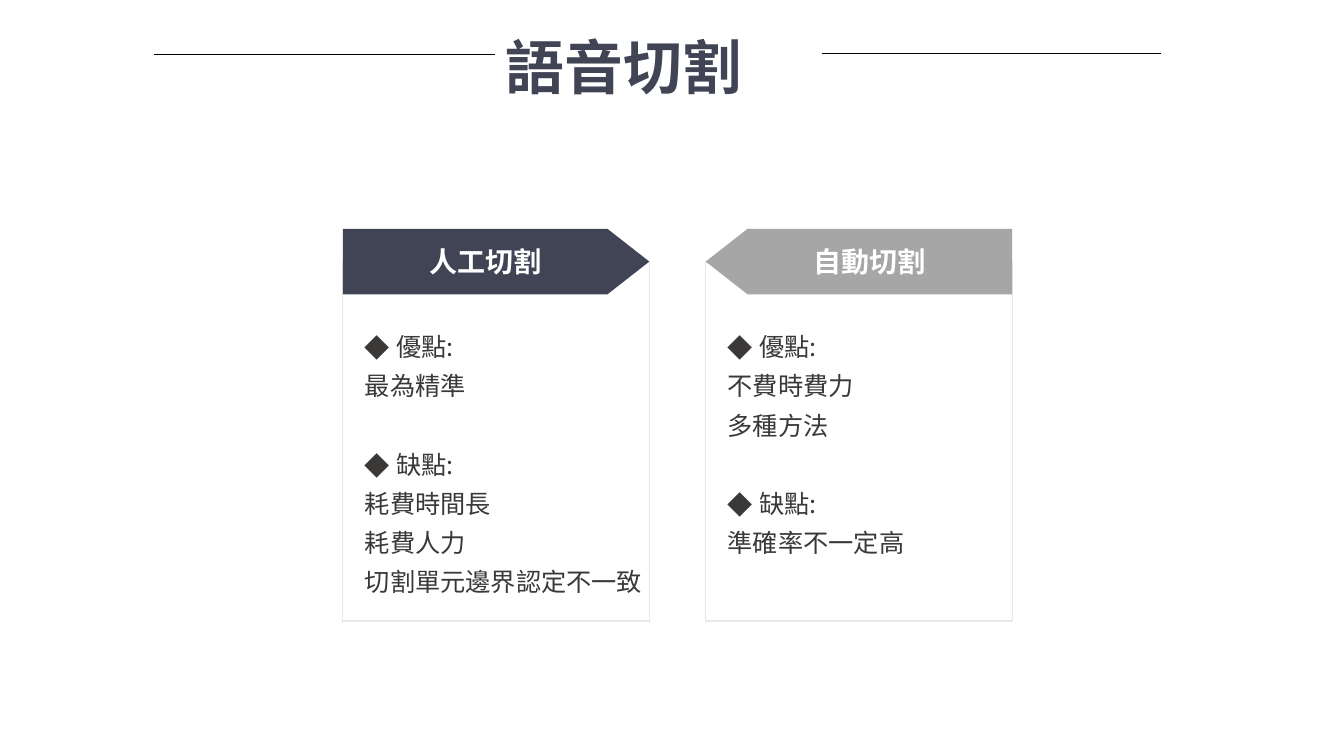
from lxml import etree
from pptx import Presentation
from pptx.dml.color import RGBColor
from pptx.enum.shapes import MSO_CONNECTOR, MSO_SHAPE
from pptx.enum.text import MSO_ANCHOR, PP_ALIGN
from pptx.oxml.ns import qn
from pptx.util import Inches, Pt

RECTANGLE = MSO_SHAPE.RECTANGLE
PENTAGON = MSO_SHAPE.PENTAGON
STRAIGHT = MSO_CONNECTOR.STRAIGHT
MIDDLE = MSO_ANCHOR.MIDDLE
CENTER = PP_ALIGN.CENTER
JUSTIFY = PP_ALIGN.JUSTIFY

FONT = "Noto Sans CJK SC"
NAVY, GREY, INK = "414455", "A6A6A6", "3B3838"
WHITE, BLACK, BORDER = "FFFFFF", "000000", "E8E8E6"
CARD_WIDTH = 3.04
BODY_LINE = 28

CARDS = [
    (3.4, "人工切割", NAVY, False, [
        ("優點:", ["最為精準"]),
        ("缺點:", ["耗費時間長", "耗費人力", "切割單元邊界認定不一致"]),
    ]),
    (7.0, "自動切割", GREY, True, [
        ("優點:", ["不費時費力", "多種方法"]),
        ("缺點:", ["準確率不一定高"]),
    ]),
]


def color(value):
    return RGBColor.from_string(value)


def add_span(para, text, size, ink, bold=False):
    span = para.add_run()
    span.text = text
    font = span.font
    font.name, font.size, font.bold = FONT, Pt(size), bold
    font.color.rgb = color(ink)
    east_asian = etree.Element(qn("a:ea"), typeface=FONT)
    span._r.get_or_add_rPr().find(qn("a:latin")).addnext(east_asian)


def add_bullet(para):
    """Give the paragraph a diamond with a hanging indent."""
    properties = para._p.get_or_add_pPr()
    properties.set("marL", str(Inches(0.31)))
    properties.set("indent", str(Inches(-0.31)))
    etree.SubElement(properties, qn("a:buFont"), typeface=FONT)
    etree.SubElement(properties, qn("a:buChar"), char="◆")


def add_text_box(page, left, top, width, height):
    box = page.shapes.add_textbox(
        Inches(left), Inches(top), Inches(width), Inches(height))
    box.text_frame.word_wrap = True
    return box.text_frame


def add_filled_shape(page, kind, left, top, height, fill, border=None):
    box = page.shapes.add_shape(
        kind, Inches(left), Inches(top), Inches(CARD_WIDTH), Inches(height))
    box.shadow.inherit = False
    box.fill.solid()
    box.fill.fore_color.rgb = color(fill)
    if border:
        box.line.color.rgb = color(border)
        box.line.width = Pt(1)
    else:
        box.line.fill.background()
    return box


def add_rule(page, left, right, top):
    rule = page.shapes.add_connector(
        STRAIGHT, Inches(left), Inches(top), Inches(right), Inches(top))
    rule.line.color.rgb = color(BLACK)
    rule.line.width = Pt(0.5)
    etree.SubElement(rule._element.spPr, qn("a:effectLst"))


def add_title(page, text):
    para = add_text_box(page, 4.92, 0.21, 3.14, 0.81).paragraphs[0]
    para.alignment = JUSTIFY
    para.line_spacing = Pt(54)
    add_span(para, text, 42, NAVY, bold=True)


def add_banner(page, left, text, fill, points_left):
    banner = add_filled_shape(page, PENTAGON, left, 2.27, 0.65, fill)
    banner.adjustments[0] = 0.639
    if points_left:
        banner._element.spPr.find(qn("a:xfrm")).set("flipH", "1")
    frame = banner.text_frame
    frame.word_wrap = False
    frame.vertical_anchor = MIDDLE
    para = frame.paragraphs[0]
    para.alignment = CENTER
    add_span(para, text, 20, WHITE, bold=True)


def add_sections(page, left, sections):
    frame = add_text_box(page, left, 3.15, CARD_WIDTH, 2.86)
    for number, (heading, points) in enumerate(sections):
        para = frame.add_paragraph() if number else frame.paragraphs[0]
        para.line_spacing = Pt(BODY_LINE)
        if number:
            para.space_before = Pt(BODY_LINE)
        add_bullet(para)
        add_span(para, heading, 18, INK)
        for point in points:
            para = frame.add_paragraph()
            para.line_spacing = Pt(BODY_LINE)
            add_span(para, point, 18, INK)


def add_card(page, left, heading, fill, points_left, sections):
    add_filled_shape(page, RECTANGLE, left, 2.6, 3.56, WHITE, BORDER)
    add_banner(page, left, heading, fill, points_left)
    add_sections(page, left + 0.12, sections)


def main():
    deck = Presentation()
    deck.slide_width, deck.slide_height = Inches(13.33), Inches(7.5)
    page = deck.slides.add_slide(deck.slide_layouts[6])
    add_rule(page, 1.53, 4.91, 0.54)
    add_rule(page, 8.15, 11.52, 0.53)
    for card in CARDS:
        add_card(page, *card)
    add_title(page, "語音切割")
    deck.save("out.pptx")


if __name__ == "__main__":
    main()
